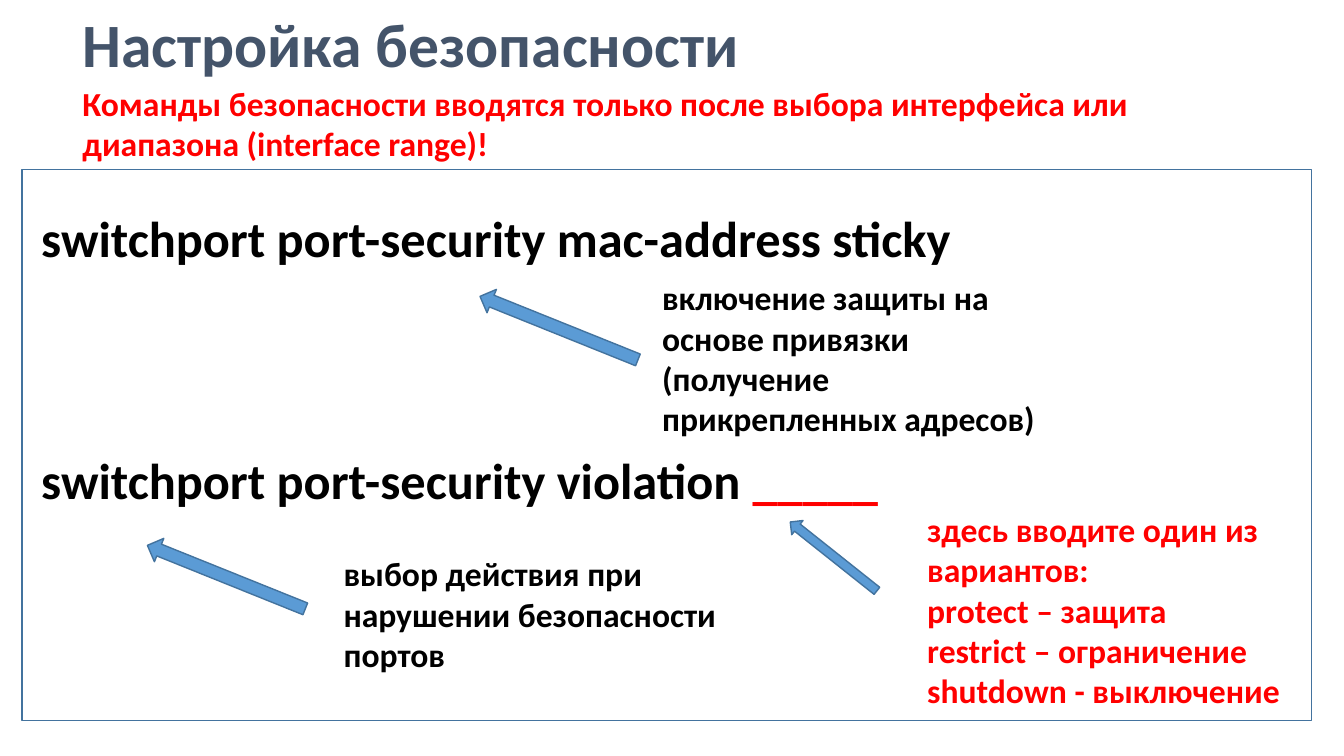
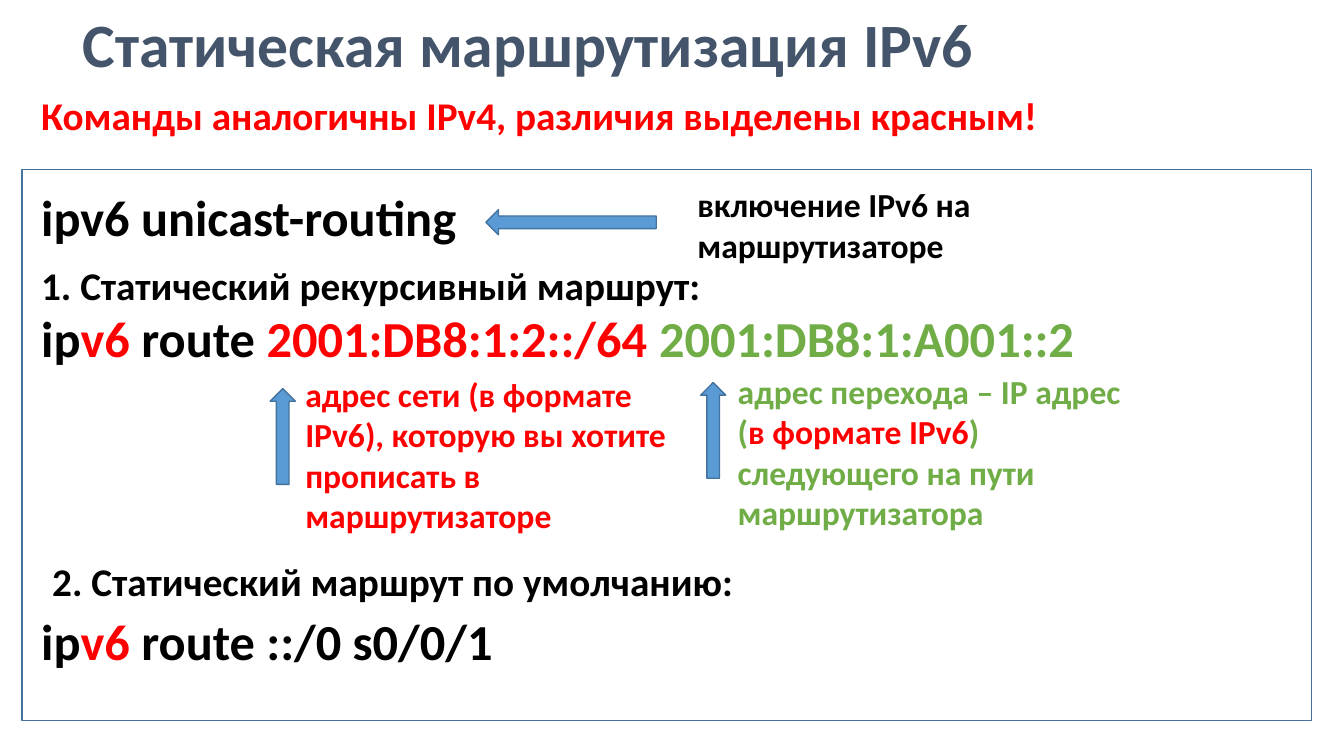
from math import atan2, degrees, hypot

from pptx import Presentation
from pptx.dml.color import RGBColor
from pptx.enum.shapes import MSO_SHAPE
from pptx.enum.text import MSO_ANCHOR, PP_ALIGN
from pptx.util import Inches, Pt

RECTANGLE = MSO_SHAPE.RECTANGLE
RIGHT_ARROW = MSO_SHAPE.RIGHT_ARROW
TOP, MIDDLE = MSO_ANCHOR.TOP, MSO_ANCHOR.MIDDLE
LEFT = PP_ALIGN.LEFT

COLORS = {
    "title": "44546A",
    "text": "000000",
    "accent": "FF0000",
    "next_hop": "70AD47",
    "arrow": "5B9BD5",
    "outline": "43739E",
}
SIZES = {"title": 44, "command": 36, "heading": 28, "note": 24}
FONT = "Calibri"
COLUMNS, ROWS = 80, 45
MARGIN = 1.86  # left edge of commands, in columns
INDENT = 4.32  # left edge of titles, in columns
NOTE_WIDTH = 24


class Deck:
    """Draws on the current slide; lengths are columns and rows of the grid."""

    def __init__(self):
        self.presentation = Presentation()
        self.presentation.slide_width = Inches(13.33)
        self.presentation.slide_height = Inches(7.5)
        self.column = self.presentation.slide_width / COLUMNS
        self.row = self.presentation.slide_height / ROWS
        self.slide = None

    def place(self, left, top, width, height):
        return (round(left * self.column), round(top * self.row),
                round(width * self.column), round(height * self.row))

    def new_slide(self, title):
        layout = self.presentation.slide_layouts[6]
        self.slide = self.presentation.slides.add_slide(layout)
        title_frame = self.text((INDENT, 0, 69, 5.6), [title], "title", "title")
        title_frame.vertical_anchor = MIDDLE
        title_frame.paragraphs[0].line_spacing = 0.9
        self.outlined(RECTANGLE, (1.32, 10.08, 76.74, 32.82))

    def outlined(self, kind, box, fill=None):
        shape = self.slide.shapes.add_shape(kind, *self.place(*box))
        shape.shadow.inherit = False
        shape.line.color.rgb = RGBColor.from_string(COLORS["outline"])
        shape.line.width = Pt(1)
        if fill:
            shape.fill.solid()
            shape.fill.fore_color.rgb = RGBColor.from_string(COLORS[fill])
        else:
            shape.fill.background()
        return shape

    def text(self, box, lines, size, color="text"):
        """Each line is a string or a list of (string, color name) runs."""
        shape = self.slide.shapes.add_textbox(*self.place(*box))
        text_frame = shape.text_frame
        text_frame.word_wrap = True
        text_frame.vertical_anchor = TOP
        for index, line in enumerate(lines):
            paragraph = text_frame.add_paragraph() if index else text_frame.paragraphs[0]
            paragraph.alignment = LEFT
            pieces = [(line, color)] if isinstance(line, str) else line
            for piece, piece_color in pieces:
                run = paragraph.add_run()
                run.text = piece
                run.font.name = FONT
                run.font.size = Pt(SIZES[size])
                run.font.bold = True
                run.font.color.rgb = RGBColor.from_string(COLORS[piece_color])
        return text_frame

    def command(self, top, line):
        self.text((MARGIN, top, 68.4, 4.2), [line], "command")

    def heading(self, left, top, line, color="text"):
        self.text((left, top, 75, 3.4), [line], "heading", color)

    def note(self, left, top, height, lines, color="text", width=NOTE_WIDTH):
        self.text((left, top, width, height), lines, "note", color)

    def arrow(self, tail, head, thickness=1.5):
        """Block arrow turned to run from the tail point to the head point."""
        across, down = head[0] - tail[0], head[1] - tail[1]
        length = hypot(across, down)
        left = (tail[0] + head[0] - length) / 2
        top = (tail[1] + head[1] - thickness) / 2
        shape = self.outlined(RIGHT_ARROW, (left, top, length, thickness), "arrow")
        shape.rotation = degrees(atan2(down, across)) % 360


def build_security(deck):
    deck.new_slide("Настройка безопасности")
    deck.command(12.06, "switchport port-security mac-address sticky")
    deck.command(26.46, [("switchport port-security violation ", "text"),
                         ("_____", "accent")])
    deck.arrow((37.97, 21.42), (28.57, 17.64))
    deck.note(38.82, 16.2, 10.3,
              ["включение защиты на основе привязки (получение прикрепленных адресов)"])
    deck.arrow((18.17, 36.24), (8.77, 32.46))
    deck.note(19.86, 32.64, 7.9, ["выбор действия при нарушении безопасности портов"])
    deck.arrow((52.2, 35.17), (47.04, 31.07), 1.08)
    deck.note(54.6, 30, 12.7,
              ["здесь вводите один из вариантов:", "protect – защита",
               "restrict – ограничение", "shutdown - выключение"], "accent")
    deck.note(INDENT, 4.62, 5.5,
              ["Команды безопасности вводятся только после выбора интерфейса "
               "или диапазона (interface range)!"], "accent", 73.08)


def build_routing(deck):
    route = [("ip", "text"), ("v6", "accent")]
    deck.new_slide("Статическая маршрутизация IPv6")
    deck.heading(MARGIN, 5.16, "Команды аналогичны IPv4, различия выделены красным!",
                 "accent")
    deck.command(10.8, "ipv6 unicast-routing")
    deck.arrow((39.06, 13.23), (28.92, 13.23))
    deck.note(40.92, 10.68, 5.5, ["включение IPv6 на маршрутизаторе"])

    deck.heading(MARGIN, 15.24, "1. Статический рекурсивный маршрут:")
    deck.command(18, route + [(" route ", "text"), ("2001:DB8:1:2::/64 ", "accent"),
                              ("2001:DB8:1:A001::2", "next_hop")])
    deck.arrow((16.83, 28.83), (16.83, 23.13))
    deck.note(17.58, 21.96, 10.3,
              ["адрес сети (в формате IPv6), которую вы хотите прописать "
               "в маршрутизаторе"], "accent")
    deck.arrow((42.45, 28.47), (42.45, 22.77))
    deck.note(43.32, 21.78, 10.3,
              [[("адрес перехода – IP адрес (", "next_hop"),
                ("в формате IPv6", "accent"),
                (") следующего на пути маршрутизатора", "next_hop")]])

    deck.heading(2.52, 32.88, "2. Статический маршрут по умолчанию:")
    deck.command(36, route + [(" route ::/0 s0/0/1", "text")])


def main():
    deck = Deck()
    build_security(deck)
    build_routing(deck)
    deck.presentation.save("out.pptx")


if __name__ == "__main__":
    main()
